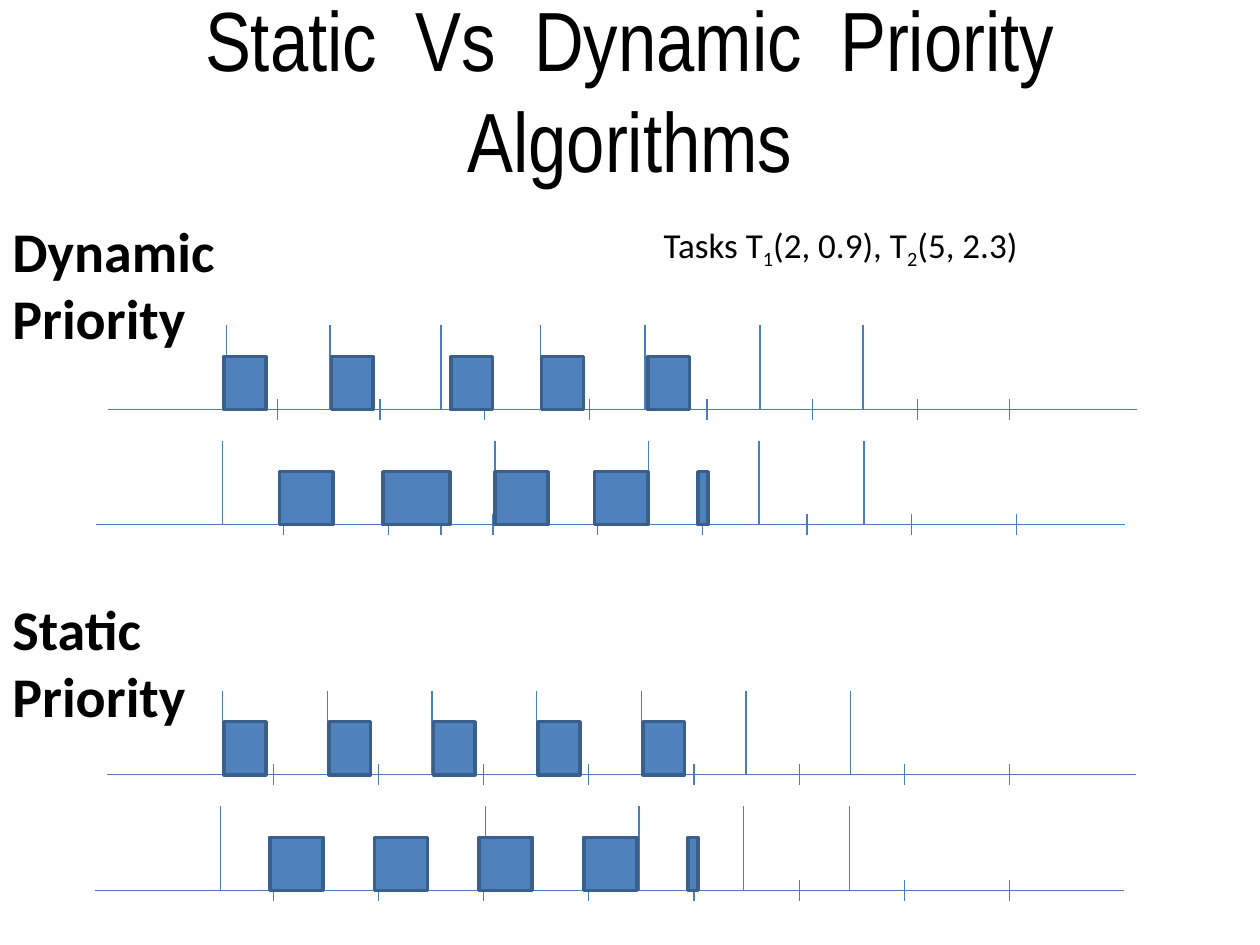
from dataclasses import dataclass

from lxml import etree
from pptx import Presentation
from pptx import util as u
from pptx.dml.color import RGBColor
from pptx.enum import shapes, text
from pptx.oxml import ns


@dataclass(frozen=True)
class Theme:
    ink = RGBColor.from_string("000000")
    line = RGBColor.from_string("4A7EBB")
    fill = RGBColor.from_string("4F81BD")
    edge = RGBColor.from_string("3A5F8B")
    title_font = "Arial Narrow"
    body_font = "Calibri"
    title_size = u.Pt(48)
    label_size = u.Pt(32)
    task_size = u.Pt(20)
    thin = u.Pt(0.75)
    thick = u.Pt(2)


theme = Theme()
deck = Presentation()
deck.slide_width, deck.slide_height = u.Cm(25.4), u.Cm(19.05)
page = deck.slides.add_slide(deck.slide_layouts[5])


def add_line(x1, y1, x2, y2):
    line = page.shapes.add_connector(
        shapes.MSO_CONNECTOR.STRAIGHT, u.Cm(x1), u.Cm(y1), u.Cm(x2), u.Cm(y2))
    line.line.color.rgb = theme.line
    line.line.width = theme.thin
    etree.SubElement(line._element.spPr, ns.qn("a:effectLst"))


def add_text(left, top, width, height, spans, size, bold=False):
    """Write (text, is_subscript) spans into one paragraph."""
    box = page.shapes.add_textbox(u.Cm(left), u.Cm(top), u.Cm(width), u.Cm(height))
    box.text_frame.word_wrap = True
    para = box.text_frame.paragraphs[0]
    for words, is_subscript in spans:
        span = para.add_run()
        span.text = words
        span.font.name, span.font.size = theme.body_font, size
        span.font.bold = bold
        span.font.color.rgb = theme.ink
        if is_subscript:
            span.font._element.set("baseline", "-25000")
    return box


# Title
title = page.shapes.title
title.left, title.top = u.Cm(1.27), u.Cm(0.2)
title.width, title.height = u.Cm(22.86), u.Cm(3.18)
frame = title.text_frame
frame.text = "Static  Vs  Dynamic  Priority Algorithms"
frame.word_wrap = True
frame.auto_size = text.MSO_AUTO_SIZE.NONE
frame.vertical_anchor = text.MSO_ANCHOR.MIDDLE
para = frame.paragraphs[0]
para.alignment = text.PP_ALIGN.CENTER
font = para.runs[0].font
font.name, font.size = theme.title_font, theme.title_size
font.color.rgb = theme.ink

# Task set
tasks = add_text(13.13, 3.6, 12.27, 2.06,
                 [("Tasks T", False), ("1", True), ("(2, 0.9), T", False),
                  ("2", True), ("(5, 2.3)", False)], theme.task_size)
tasks.text_frame.margin_top = u.Cm(0.9)

# Schedules: one timeline per task; blocks are (left, width), all in cm
axis_length, release_height, block_height, half_tick = 20.75, 1.7, 1.07, 0.21
short, long, longer, rest = 0.84, 1.07, 1.35, 0.2

timelines = [
    # Dynamic priority, T1
    dict(left=2.18, base=8.26,
         releases=[4.56, 6.65, 8.89, 10.9, 13, 15.32, 17.4],
         ticks=[5.59, 7.66, 9.77, 11.89, 14.25, 16.38, 18.49, 20.35],
         blocks=[(x, short) for x in (4.52, 6.68, 9.09, 10.92, 13.06)]),
    # Dynamic priority, T2
    dict(left=1.93, base=10.58,
         releases=[4.48, 9.98, 13.08, 15.3, 17.42],
         ticks=[5.72 + 2.11 * i for i in range(8)] + [8.89],
         blocks=[(5.64, long), (7.72, longer), (9.98, long),
                 (11.99, long), (14.07, rest)]),
    # Static priority, T1
    dict(left=2.16, base=15.62,
         releases=[4.49 + 2.11 * i for i in range(7)],
         ticks=[5.51 + 2.12 * i for i in range(8)],
         blocks=[(4.52 + 2.11 * i, short) for i in range(5)]),
    # Static priority, T2
    dict(left=1.91, base=17.95,
         releases=[4.45, 9.78, 12.88, 14.99, 17.12],
         ticks=[5.51 + 2.12 * i for i in range(8)],
         blocks=[(5.44 + 2.11 * i, long) for i in range(4)] + [(13.87, rest)]),
]

for timeline in timelines:
    left, base = timeline["left"], timeline["base"]
    add_line(left, base, left + axis_length, base)
    for x in timeline["releases"]:
        add_line(x, base - release_height, x, base)
    for x in timeline["ticks"]:
        add_line(x, base - half_tick, x, base + half_tick)
    for x, width in timeline["blocks"]:
        block = page.shapes.add_shape(
            shapes.MSO_SHAPE.RECTANGLE, u.Cm(x), u.Cm(base - block_height),
            u.Cm(width), u.Cm(block_height))
        block.shadow.inherit = False
        block.fill.solid()
        block.fill.fore_color.rgb = theme.fill
        block.line.color.rgb = theme.edge
        block.line.width = theme.thick

# Schedule labels
for words, top, height in (("Static Priority", 11.86, 4.32),
                           ("Dynamic Priority", 4.24, 5.66)):
    add_text(0, top, 5.08, height, [(words, False)], theme.label_size, bold=True)

deck.save("out.pptx")
